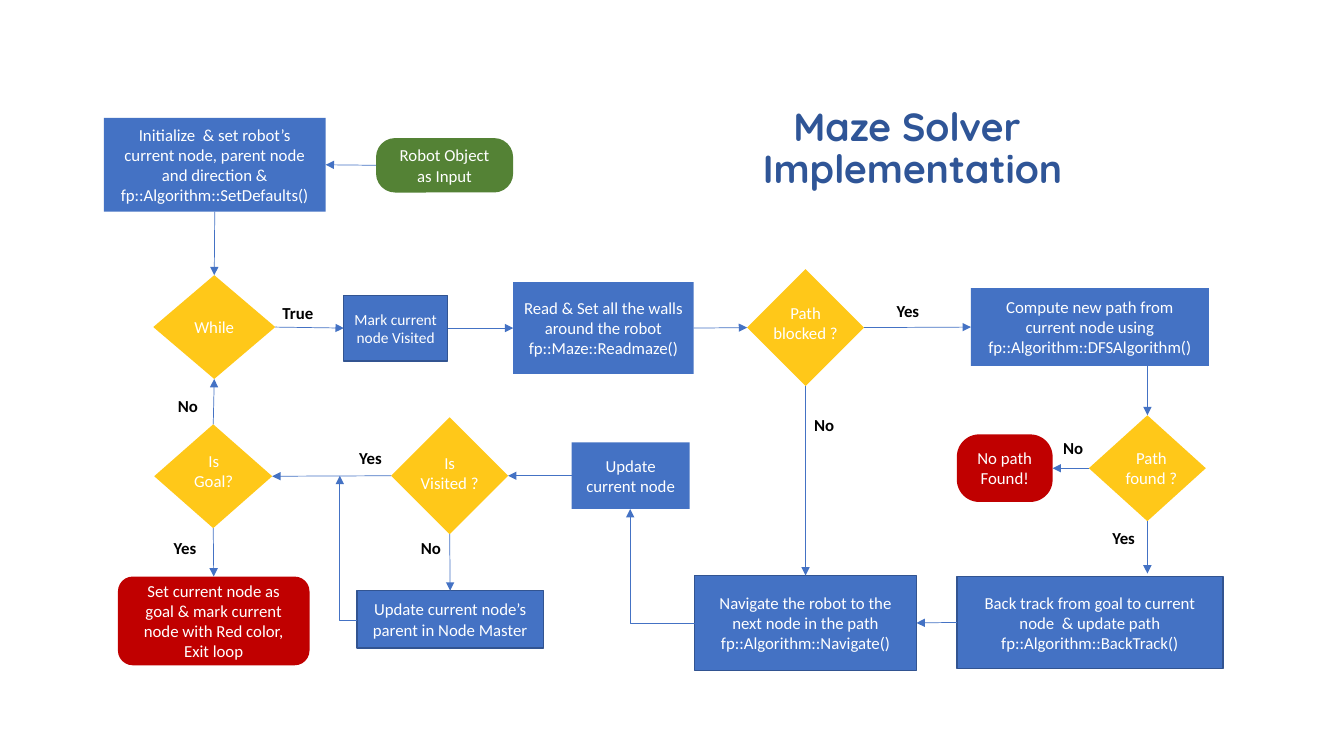
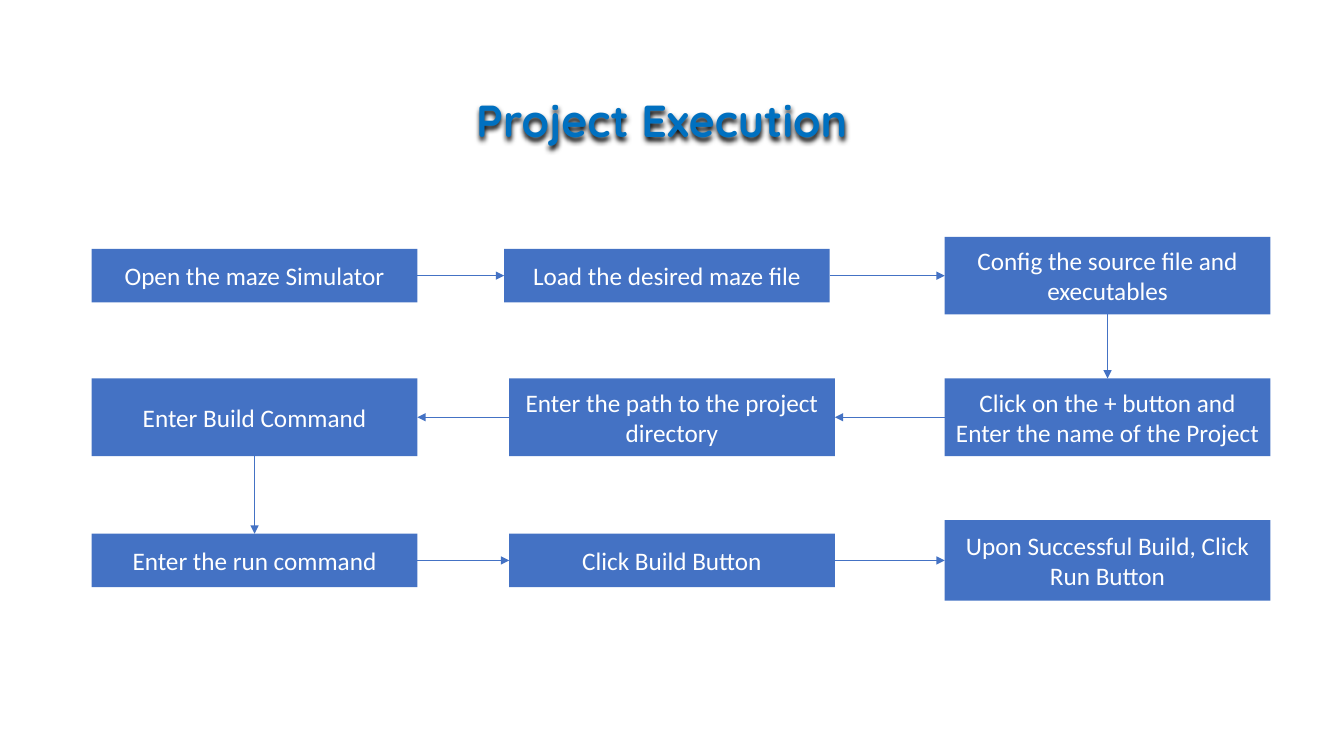
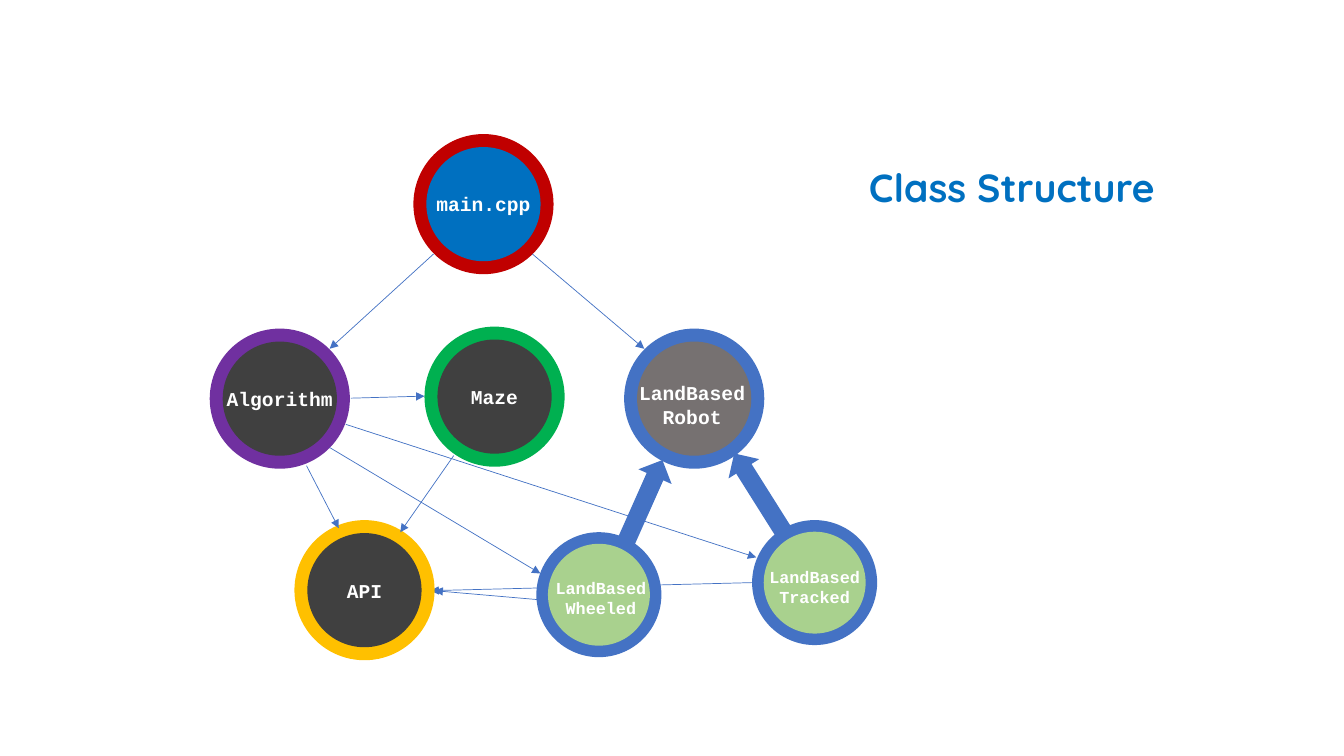
"""Builds three slides: a maze flowchart, the run steps and the class graph."""
from dataclasses import dataclass
from itertools import pairwise
from typing import Any, NamedTuple

from lxml import etree
from pptx import Presentation
from pptx import util as u
from pptx.dml.color import RGBColor
from pptx.enum import shapes as sh, text as tx
from pptx.oxml import ns, parse_xml

# Grid: square cells, ten to the inch; all lengths below count cells.
CELL = u.Inches(0.1)
COLS, ROWS = 133.3, 75

BLUE, NAVY, SKY, TITLE = "4472C4", "325491", "0070C0", "2F5597"
GOLD, RED, GREEN, LIME = "FFC819", "C00000", "548235", "A9D18E"
SLATE, GREY, WHITE, BLACK = "404040", "767171", "FFFFFF", "000000"
BODY, HEAD, CODE = "Calibri", "Quicksand", "Courier New"

KIND = sh.MSO_SHAPE
RECT, ROUND, GEM = KIND.RECTANGLE, KIND.ROUNDED_RECTANGLE, KIND.DIAMOND
TOP, LEFT, DOWN, RIGHT = range(4)  # joining sites of a box
Point = tuple[float, float]


class Box(NamedTuple):
    """A place on the grid."""
    x: float
    y: float
    w: float
    h: float


@dataclass
class Node:
    """One box of the flowchart."""
    key: str
    box: Box
    text: str = ""
    fill: str = BLUE
    kind: Any = RECT
    edge: str | None = None
    size: float = 12
    bend: float | None = None


class Note(NamedTuple):
    """A free text on the flowchart."""
    text: str
    box: Box


class Link(NamedTuple):
    """An arrow that joins two nodes."""
    start: str
    out: int
    end: str
    into: int


class Step(NamedTuple):
    """One step of the run; height in cells."""
    row: int
    x: float
    text: str
    h: float


@dataclass
class Ring:
    """One class of the graph; dx and dy nudge its text."""
    x: float
    y: float
    text: str
    edge: str
    core: str
    d: float = 13.9
    size: float = 14
    dx: float = 0
    dy: float = 0


def tint(code: str) -> RGBColor:
    """Turn a hex string into a colour."""
    return RGBColor.from_string(code)


def span(*cells: float) -> list[u.Emu]:
    """Turn cells into lengths."""
    return [u.Emu(round(c * CELL)) for c in cells]


def write(frame: Any, words: str, *, size: float = 12, color: str = WHITE,
          font: str = BODY, bold: bool = False, mid: bool = True,
          pitch: float | None = None) -> None:
    """Put centred text in a frame; \\n parts paragraphs, \\v lines."""
    frame.word_wrap = True
    frame.vertical_anchor = tx.MSO_ANCHOR.MIDDLE if mid else tx.MSO_ANCHOR.TOP
    frame.text = words
    for para in frame.paragraphs:
        para.alignment = tx.PP_ALIGN.CENTER
        if pitch:
            para.line_spacing = pitch
        for run in para.runs:
            run.font.size, run.font.name = u.Pt(size), font
            run.font.bold, run.font.color.rgb = bold, tint(color)


def label(slide: Any, box: Box, words: str, **style: Any) -> Any:
    """Add a text box."""
    item = slide.shapes.add_textbox(*span(*box))
    write(item.text_frame, words, **style)
    return item


def title(slide: Any, box: Box, words: str, **style: Any) -> Any:
    """Add a slide title."""
    look = {"size": 28, "color": SKY, "mid": False} | style
    return label(slide, box, words, font=HEAD, bold=True, pitch=0.9, **look)


def shape(slide: Any, kind: Any, box: Box, fill: str,
          edge: str | None = None) -> Any:
    """Add a flat filled shape."""
    item = slide.shapes.add_shape(kind, *span(*box))
    item.shadow.inherit = False
    item.fill.solid()
    item.fill.fore_color.rgb = tint(fill)
    if edge:
        item.line.color.rgb, item.line.width = tint(edge), u.Pt(1)
    else:
        item.line.fill.background()
    return item


def arrow(slide: Any, start: Point, end: Point) -> Any:
    """Add a thin straight arrow."""
    line = slide.shapes.add_connector(
        sh.MSO_CONNECTOR.STRAIGHT, *span(*start, *end))
    line.line.color.rgb, line.line.width = tint(BLUE), u.Pt(0.5)
    props = line._element.spPr
    etree.SubElement(props.find(ns.qn("a:ln")), ns.qn("a:tailEnd"),
                     type="triangle")
    etree.SubElement(props, ns.qn("a:effectLst"))
    return line


def elbow(slide: Any, start: Point, end: Point) -> None:
    """Add an arrow that runs left, then up."""
    props = arrow(slide, start, end)._element.spPr
    props.find(ns.qn("a:prstGeom")).set("prst", "bentConnector2")
    frame = props.find(ns.qn("a:xfrm"))
    for flip in ("flipH", "flipV"):
        frame.attrib.pop(flip, None)
    frame.set("rot", str(180 * 60000))


def join(slide: Any, start: Any, out: int, end: Any, into: int) -> None:
    """Glue an arrow to two shapes."""
    line = arrow(slide, (0, 0), (1, 1))
    line.begin_connect(start, out)
    line.end_connect(end, into)


def glow(item: Any) -> None:
    """Give a title a soft shadow below."""
    item._element.spPr.append(parse_xml(
        f'<a:effectLst {ns.nsdecls("a")}><a:outerShdw blurRad="50800" '
        'dist="38100" dir="5400000" algn="t" rotWithShape="0">'
        f'<a:srgbClr val="{BLACK}"/></a:outerShdw></a:effectLst>'))


NODES = [
    Node("input", Box(37.3, 13.7, 13.6, 5.4), "Robot Object as Input",
         GREEN, ROUND, bend=0.35),
    Node("init", Box(10.3, 11.7, 22, 9.3),
         "Initialize  & set robot’s current node, parent node and "
         "direction &\nfp::Algorithm::SetDefaults()"),
    Node("while", Box(15.2, 27.3, 12.1, 10.3), "While", GOLD, GEM),
    Node("read", Box(50.9, 28, 17.9, 9.1),
         "Read & Set all the walls around the robot\nfp::Maze::Readmaze()"),
    Node("block", Box(74.1, 26.7, 11.6, 11.6), "", GOLD, GEM),
    Node("new", Box(96.3, 28.6, 23.6, 7.7),
         "Compute new path from current node using\n"
         "fp::Algorithm::DFSAlgorithm()"),
    Node("move", Box(68.9, 57.1, 22, 9.4),
         "Navigate the robot to the next node in the path\n"
         "fp::Algorithm::Navigate()", edge=NAVY),
    Node("back", Box(94.9, 57.2, 26.4, 9.1),
         "Back track from goal to current node  & update path\n"
         "fp::Algorithm::BackTrack()", edge=NAVY),
    Node("none", Box(94.9, 43.1, 9.5, 6.7), "No path Found!",
         RED, ROUND, bend=0.33),
    Node("next", Box(56.7, 43.9, 11.7, 6.6), "Update current node"),
    Node("goal", Box(15.3, 42.1, 11.7, 10.3), "", GOLD, GEM),
    Node("exit", Box(11.7, 57.2, 19, 8.8),
         "Set current node as goal & mark current node with Red color, "
         "Exit loop", RED, ROUND),
    Node("found", Box(108, 41.2, 11.6, 10.5), "", GOLD, GEM),
    Node("mark", Box(34.1, 29.3, 10.3, 6.5), "Mark current node Visited",
         edge=NAVY, size=11),
    Node("seen", Box(38.8, 41.4, 11.6, 11.6), "", GOLD, GEM),
    Node("parent", Box(35.4, 58.6, 18.5, 5.7),
         "Update current node’s parent in Node Master", edge=NAVY),
]
ASKS = [
    Note("Path blocked ?", Box(75.7, 29.5, 8.4, 4.7)),
    Note("Is\nGoal?", Box(17, 44.2, 8.4, 5)),
    Note("Path found ?", Box(110, 43.9, 8.4, 4.2)),
    Note("Is\nVisited ?", Box(40.4, 44.4, 8.4, 5)),
]
SAYS = [
    Note(word, Box(x, y, 5.7, 3)) for word, x, y in [
        ("True", 26.7, 29.5), ("Yes", 15.5, 52.9), ("No", 15.8, 38.8),
        ("Yes", 108.6, 51.9), ("No", 103.6, 42.9), ("Yes", 87.2, 29.3),
        ("No", 78.9, 40.7), ("Yes", 33.9, 43.9), ("No", 39.9, 52.9)]
]
LINKS = [
    Link("input", LEFT, "init", RIGHT), Link("init", DOWN, "while", TOP),
    Link("while", RIGHT, "mark", LEFT), Link("mark", RIGHT, "read", LEFT),
    Link("read", RIGHT, "block", LEFT), Link("block", RIGHT, "new", LEFT),
    Link("block", DOWN, "move", TOP), Link("found", LEFT, "none", RIGHT),
    Link("back", LEFT, "move", RIGHT), Link("next", LEFT, "seen", RIGHT),
    Link("seen", LEFT, "goal", RIGHT), Link("seen", DOWN, "parent", TOP),
    Link("goal", TOP, "while", DOWN), Link("goal", DOWN, "exit", TOP),
]


def flow(slide: Any) -> None:
    """Draw the maze flowchart."""
    title(slide, Box(66.3, 10.2, 48.4, 10.7),
          "Maze Solver \vImplementation", color=TITLE)
    made = {}
    for node in NODES:
        item = shape(slide, node.kind, node.box, node.fill, node.edge)
        if node.bend:
            item.adjustments[0] = node.bend
        if node.text:
            write(item.text_frame, node.text, size=node.size)
        made[node.key] = item
    for ask in ASKS:
        label(slide, ask.box, ask.text, mid=False)
    for say in SAYS:
        label(slide, say.box, say.text, color=BLACK, bold=True, mid=False)
    for link in LINKS:
        join(slide, made[link.start], link.out, made[link.end], link.into)
    for top, end in [(36.3, 41.2), (51.7, 56.9)]:
        arrow(slide, (113.8, top), (113.8, end))
    elbow(slide, (68.9, 61.8), (62.5, 50.5))
    elbow(slide, (35.4, 61.5), (33.7, 47.2))


MIDS = [27.35, 41.4, 55.6]  # centre lines of the three rows
WIDE = 32.3
STEPS = [
    Step(0, 9.1, "Open the maze Simulator", 5.3),
    Step(0, 50, "Load the desired maze file", 5.3),
    Step(0, 93.7, "Config the source file and executables", 7.7),
    Step(1, 93.7, "Click on the + button and Enter the name of the Project",
         7.7),
    Step(1, 50.5, "Enter the path to the project directory", 7.7),
    Step(1, 9.1, "Enter Build Command", 7.7),
    Step(2, 9.1, "Enter the run command", 5.3),
    Step(2, 50.5, "Click Build Button", 5.3),
    Step(2, 93.7, "Upon Successful Build, Click Run Button", 8),
]


def steps(slide: Any) -> None:
    """Draw the run steps, row by row in a winding line."""
    glow(title(slide, Box(44.5, 4.9, 42.3, 14.5), "Project Execution",
               size=32, mid=True))
    made = []
    for step in STEPS:
        box = Box(step.x, MIDS[step.row] - step.h / 2, WIDE, step.h)
        item = shape(slide, RECT, box, BLUE)
        write(item.text_frame, step.text, size=18)
        made.append((step, item))
    for (a, start), (b, end) in pairwise(made):
        if a.row != b.row:
            sides = DOWN, TOP
        else:
            sides = (RIGHT, LEFT) if a.x < b.x else (LEFT, RIGHT)
        join(slide, start, sides[0], end, sides[1])


RINGS = [
    Ring(61.9, 32.6, "LandBased\nRobot", BLUE, GREY, dx=-0.2, dy=0.6),
    Ring(74.6, 51.6, "LandBased\nTracked", BLUE, LIME, 12.4, 12, dy=0.4),
    Ring(53.2, 52.8, "LandBased\nWheeled", BLUE, LIME, 12.4, 12, 0.2, 0.3),
    Ring(20.8, 32.6, "Algorithm", "7030A0", SLATE),
    Ring(29.2, 51.6, "API", "FFC000", SLATE),
    Ring(42.1, 32.4, "Maze", "00B050", SLATE),
    Ring(41, 13.3, "main.cpp", RED, SKY),
]
CORE = 0.815  # share of a ring's width
CALLS = [
    ((43, 25.2), (32.7, 34.6)), ((52.8, 25.2), (63.9, 34.6)),
    ((53.5, 59.5), (43.1, 58.6)), ((30.4, 46.2), (33.6, 52.4)),
    ((45, 45.2), (39.7, 52.8)), ((34.8, 39.5), (42.1, 39.3)),
    ((32.7, 44.4), (53.6, 56.9)), ((34.3, 42.1), (75, 55.3)),
]
HEIRS = [(Box(70.6, 47.2, 9.5, 3.6), 237.8), (Box(59.3, 48, 9.1, 3.6), 294)]


def graph(slide: Any) -> None:
    """Draw the class graph."""
    arrow(slide, (74.6, 57.8), (42.7, 58.6))
    title(slide, Box(76.2, 16.2, 48.3, 5.6), "Class Structure")
    for ring in RINGS:
        gap, d = ring.d * (1 - CORE) / 2, ring.d * CORE
        shape(slide, KIND.OVAL, Box(ring.x, ring.y, ring.d, ring.d), ring.edge)
        shape(slide, KIND.OVAL, Box(ring.x + gap, ring.y + gap, d, d),
              ring.core)
        label(slide, Box(ring.x + ring.dx, ring.y + ring.dy, ring.d, ring.d),
              ring.text, size=ring.size, font=CODE, bold=True)
    for box, turn in HEIRS:
        shape(slide, KIND.RIGHT_ARROW, box, BLUE).rotation = turn
    for start, end in CALLS:
        arrow(slide, start, end)


deck = Presentation()
deck.slide_width, deck.slide_height = span(COLS, ROWS)
for draw in (flow, steps, graph):
    draw(deck.slides.add_slide(deck.slide_layouts[6]))
deck.save("out.pptx")
